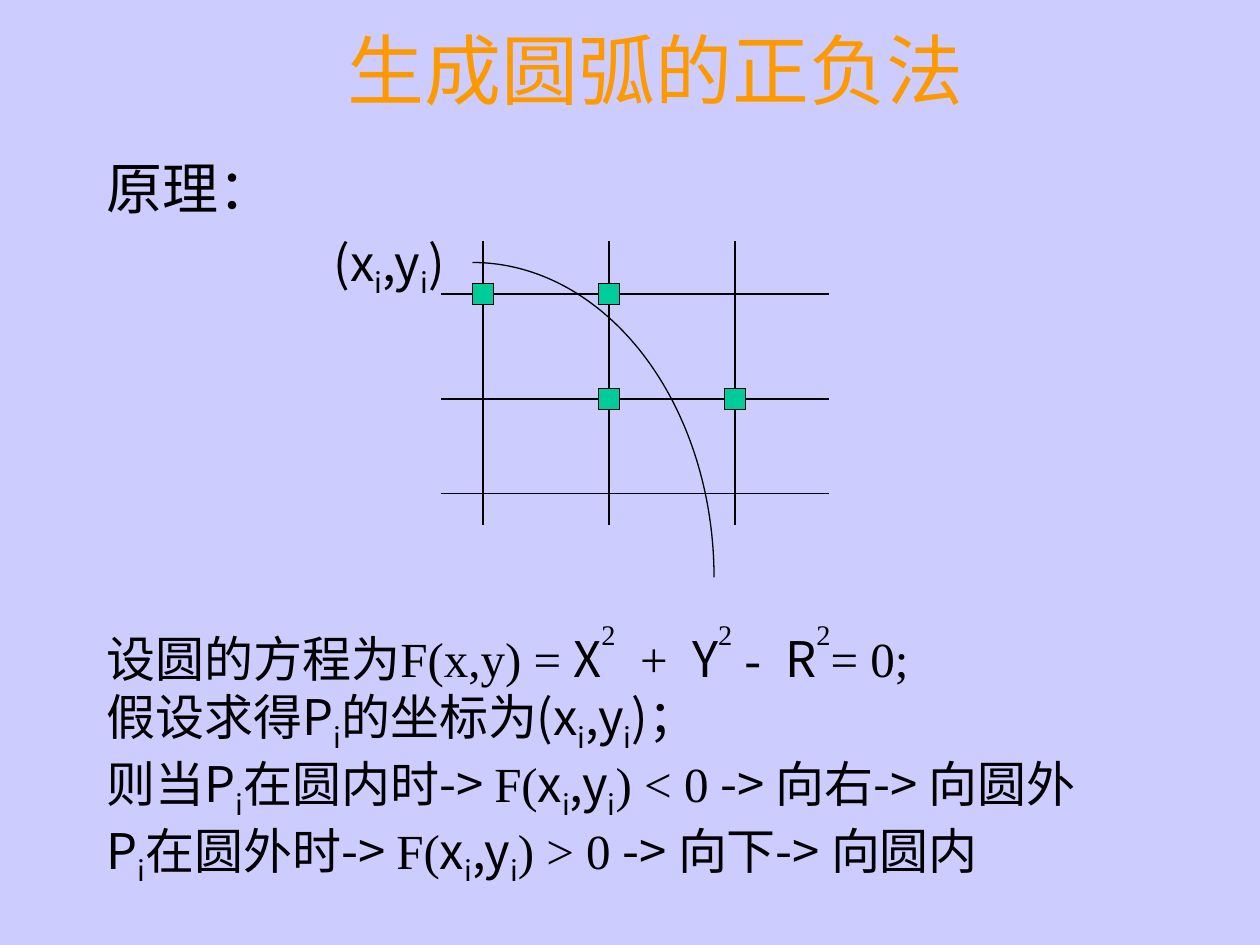
import pptx
import pptx.util
import pptx.dml.color
import pptx.enum.shapes
import pptx.enum.text
import pptx.oxml.ns
import lxml.etree

SERIF, SANS = "Times New Roman", "Noto Sans CJK SC"
INK = "000000"
SUB, SUP = -25, 64  # baseline shift in percent

deck = pptx.Presentation()
deck.slide_width = pptx.util.Inches(10)
deck.slide_height = pptx.util.Inches(7.5)
CELL = deck.slide_width / 120  # the page is a grid of 120 columns and 90 rows
page = deck.slides.add_slide(deck.slide_layouts[6])


def rgb(value):
    return pptx.dml.color.RGBColor.from_string(value)


def write(para, pieces, size, color=INK):
    """Add one span for each (words, font, baseline) piece."""
    for words, font, shift in pieces:
        span = para.add_run()
        span.text = words
        span.font.size = pptx.util.Pt(size)
        span.font.name = font
        span.font.color.rgb = rgb(color)
        props = span._r.get_or_add_rPr()
        if shift:
            props.set("baseline", str(shift * 1000))
        asian = lxml.etree.SubElement(props, pptx.oxml.ns.qn("a:ea"))
        asian.set("typeface", SANS)


page.background.fill.solid()
page.background.fill.fore_color.rgb = rgb("CCCCFF")

# Text boxes: title, principle, derivation
frames = []
for area in [(15, 0, 95, 13), (9, 14, 102, 69), (9, 58.2, 103, 38.2)]:
    box = page.shapes.add_textbox(*[round(n * CELL) for n in area])
    box.text_frame.word_wrap = True
    frames.append(box.text_frame)
title, principle, derivation = frames

title.vertical_anchor = pptx.enum.text.MSO_ANCHOR.MIDDLE
title.paragraphs[0].alignment = pptx.enum.text.PP_ALIGN.CENTER
write(title.paragraphs[0], [("生成圆弧的正负法", SERIF, 0)], 44, "FF9900")

# Heading and the label of the first grid point
point = [("x", SANS, 0), ("i", SANS, SUB), (",y", SANS, 0), ("i", SANS, SUB)]
heading = principle.paragraphs[0]
heading.space_before = pptx.util.Pt(8)
write(heading, [("原理：", SERIF, 0)], 32)
label = principle.add_paragraph()
label.space_before = pptx.util.Pt(7)
label._p.get_or_add_pPr().set("marL", str(pptx.util.Inches(1.8)))
write(label, [("(", SANS, 0), *point, (")", SANS, 0)], 28)

# Circle equation and the rule for the next step
square = ("2", SERIF, SUP)
p_i = [("P", SANS, 0), ("i", SANS, SUB)]
lines = [
    [("设圆的方程为F(x,y) = ", SERIF, 0), ("X", SANS, 0), square,
     ("  +  ", SERIF, 0), ("Y", SANS, 0), square,
     (" -  ", SERIF, 0), ("R", SANS, 0), square, ("= 0;", SERIF, 0)],
    [("假设求得", SERIF, 0), *p_i, ("的坐标为(", SANS, 0), *point, (")；", SANS, 0)],
]
for start, place, sign, turn in [
    ([("则当", SANS, 0)], "在圆内时-> ", "<", "-> 向右-> 向圆外"),
    ([], "在圆外时-> ", ">", "-> 向下-> 向圆内"),
]:
    lines.append([*start, *p_i, (place, SANS, 0), ("F(", SERIF, 0), *point,
                  (f") {sign} 0 ", SERIF, 0), (turn, SANS, 0)])
for number, pieces in enumerate(lines):
    para = derivation.add_paragraph() if number else derivation.paragraphs[0]
    write(para, pieces, 28)
derivation.auto_size = pptx.enum.text.MSO_AUTO_SIZE.SHAPE_TO_FIT_TEXT

# Pixel grid
columns, rows = [46, 58, 70], [28, 38, 47]
grid_lines = [(42, y, 79, y) for y in rows] + [(x, 23, x, 50) for x in columns]
for ends in grid_lines:
    grid_line = page.shapes.add_connector(
        pptx.enum.shapes.MSO_CONNECTOR.STRAIGHT, *[round(n * CELL) for n in ends])
    grid_line.line.color.rgb = rgb(INK)
    grid_line.line.width = pptx.util.Pt(0.75)
    lxml.etree.SubElement(grid_line._element.spPr, pptx.oxml.ns.qn("a:effectLst"))

# Quarter circle, then the chosen pixels centred on grid crossings
kinds = pptx.enum.shapes.MSO_SHAPE
outlines = [(kinds.ARC, (22, 25, 46, 60))]
for column, row in [(0, 0), (1, 0), (1, 1), (2, 1)]:
    outlines.append((kinds.RECTANGLE, (columns[column] - 1, rows[row] - 1, 2, 2)))
for kind, area in outlines:
    shape = page.shapes.add_shape(kind, *[round(n * CELL) for n in area])
    shape.shadow.inherit = False
    shape.line.color.rgb = rgb(INK)
    shape.line.width = pptx.util.Pt(0.75)
    if kind == kinds.ARC:
        shape.fill.background()
    else:
        shape.fill.solid()
        shape.fill.fore_color.rgb = rgb("00CC99")

deck.save("out.pptx")
